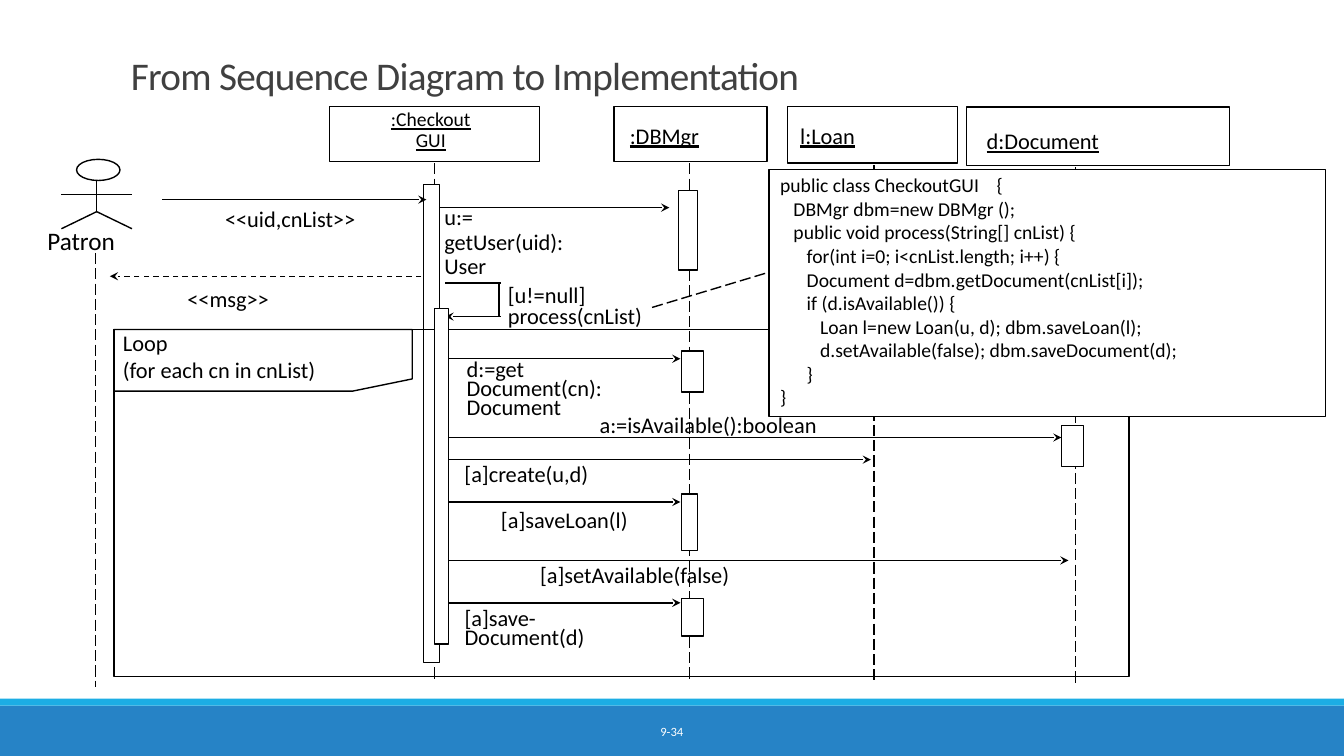
import pptx
import pptx.util
import pptx.dml.color
import pptx.enum.dml
import pptx.enum.shapes
import pptx.enum.text
import lxml.etree

Pt = pptx.util.Pt
RGBColor = pptx.dml.color.RGBColor
Shape = pptx.enum.shapes.MSO_SHAPE
Dash = pptx.enum.dml.MSO_LINE
Align = pptx.enum.text.PP_ALIGN
Anchor = pptx.enum.text.MSO_ANCHOR
AutoSize = pptx.enum.text.MSO_AUTO_SIZE

BLACK = RGBColor(0x00, 0x00, 0x00)
WHITE = RGBColor(0xFF, 0xFF, 0xFF)
GREY = RGBColor(0x40, 0x40, 0x40)
BLUE = RGBColor(0x26, 0x83, 0xC6)
CYAN = RGBColor(0x1C, 0xAD, 0xE4)

# Content: all places are left, top, width, height in points
TITLE = "From Sequence Diagram to Implementation"
PAGE_NUMBER = "9-34"

HEAD_TOP, LIFELINE_GAP, LIFELINE_LENGTH = 76.3, 1.4, 370.8
PARTICIPANTS = [  # head left, width, height, lifeline x, name, name box, format
    (235.4, 149.8, 38.9, 310.3, [":Checkout", "GUI"], (271.4, 74.9, 72.7, 38.2),
     {"size": 14, "align": Align.CENTER, "spacing": 0.9}),
    (438.5, 109.4, 38.9, 492.5, [":DBMgr"], (442.8, 83.5, 64.8, 26.6), {}),
    (562.3, 121.7, 40.3, 624.2, ["l:Loan"], (564.5, 83.5, 54, 26.6), {}),
    (690.5, 187.9, 41.8, 768.2, ["d:Document"], (697.7, 87.1, 95.8, 26.6), {}),
]
PATRON_HEAD = (54.7, 113.8, 31, 15.1)
PATRON_LINES = [  # body, legs, arms
    (69.1, 128.9, 69.1, 151.2), (69.1, 151.2, 94.3, 163.4),
    (69.1, 151.2, 43.9, 163.4), (43.9, 139, 94.3, 139),
]
PATRON_LIFELINE = (68.4, 180.7, 68.4, 491)

ACTIVATIONS = [
    (302.4, 131.8, 11.5, 341.3), (484.6, 136.1, 13.7, 56.9),
    (486.7, 250.6, 15.8, 29.5), (486.7, 352.8, 11.5, 40.3),
    (486.7, 427.7, 15.8, 26.6), (758.2, 303.8, 15.8, 29.5),
]
PROCESS_ACTIVATION = (310.3, 220.3, 10.1, 239.8)
LOOP_FRAME = (81.4, 235.4, 725, 247.7)
LOOP_TAB = [(252, 279.4), (81.4, 279.4), (81.4, 235.4),
            (294.5, 235.4), (294.5, 270.7), (252, 279.4)]

PROCESS_X = 318.2
MESSAGES = [  # from x, to x, y
    (115.9, 304.6, 142.6), (314.6, 478.1, 148.3), (357.8, PROCESS_X, 226.1),
    (PROCESS_X, 486, 256.3), (PROCESS_X, 758.2, 312.5),
    (PROCESS_X, 622.1, 328.3), (PROCESS_X, 486, 358.6),
    (PROCESS_X, 763.2, 400.3), (PROCESS_X, 486, 430.6),
]
REPLY = (301, 197.3, 78.5, 197.3)
SELF_CALL = [(PROCESS_X, 202.3, 357.8, 202.3), (356.4, 202.3, 356.4, 226.1)]

CENTERED = {"wrap": True, "align": Align.CENTER}
LABELS = [
    (["<<uid,cnList>>"], (105.8, 143.3, 203, 26.6), CENTERED),
    (["<<msg>>"], (126.7, 200.2, 73.4, 26.6), {}),
    (["u:=", "getUser(uid):", "User"], (310.3, 144, 197.3, 59.8),
     {"wrap": True, "spacing": 0.9}),
    (["[u!=null]", "process(cnList)"], (355.7, 197.3, 157.7, 41.8),
     {"wrap": True, "spacing": (1, 0.75)}),
    (["Loop", "(for each cn in cnList)"], (87.8, 235.4, 224.6, 38.2),
     {"wrap": True, "inset": (0, 0)}),
    (["d:=get", "Document(cn):", "Document"], (326.2, 255.6, 113, 49),
     {"spacing": 0.7}),
    (["a:=isAvailable():boolean"], (421.2, 290.2, 172.1, 26.6), {}),
    (["[a]create(u,d)"], (324.7, 325.4, 105.1, 26.6), {}),
    (["[a]saveLoan(l)"], (300.2, 362.9, 205.9, 21.6), CENTERED | {"spacing": 0.7}),
    (["[a]setAvailable(false)"], (378.7, 397.4, 152.6, 26.6), {}),
    (["[a]save-", "Document(d)"], (324.7, 433.4, 101.5, 35.3), {"spacing": 0.7}),
    (["Patron"], (33.8, 161.3, 49.7, 21.6), {"size": 18, "inset": (0, 0)}),
]

CODE_FRAME = (549.4, 121, 397.4, 176.4)
CODE_BOX = (557.3, 123.8, 384.5, 169.9)
CODE_LINK = (465.8, 219.6, 549.4, 194.4)
CODE = [
    "public class CheckoutGUI    {",
    "   DBMgr dbm=new DBMgr ();",
    "   public void process(String[] cnList) {",
    "      for(int i=0; i<cnList.length; i++) {",
    "      Document d=dbm.getDocument(cnList[i]);",
    "      if (d.isAvailable()) {",
    "         Loan l=new Loan(u, d); dbm.saveLoan(l);",
    "         d.setAvailable(false); dbm.saveDocument(d);",
    "      }",
    "}",
]

deck = pptx.Presentation()
deck.slide_width, deck.slide_height = Pt(960), Pt(540)
page = deck.slides.add_slide(deck.slide_layouts[6])


def style_outline(line, dash=None):
    line.color.rgb = BLACK
    line.width = Pt(1)
    if dash:
        line.dash_style = dash


def add_box(place, fill=None, outlined=True, kind=Shape.RECTANGLE):
    box = page.shapes.add_shape(kind, *map(Pt, place))
    box.shadow.inherit = False
    if fill is None:
        box.fill.background()
    else:
        box.fill.solid()
        box.fill.fore_color.rgb = fill
    if outlined:
        style_outline(box.line)
    else:
        box.line.fill.background()


def add_line(ends, dash=None, arrow=False):
    line = page.shapes.add_connector(
        pptx.enum.shapes.MSO_CONNECTOR.STRAIGHT, *map(Pt, ends))
    style_outline(line.line, dash)
    namespace = pptx.oxml.ns.qn
    if arrow:
        lxml.etree.SubElement(line.line._get_or_add_ln(),
                              namespace("a:tailEnd"), type="stealth")
    lxml.etree.SubElement(line._element.spPr, namespace("a:effectLst"))


def add_text(lines, place, size=16, color=BLACK, wrap=False, align=Align.LEFT,
             spacing=1, inset=(7.2, 3.6), underline=None, anchor=Anchor.TOP,
             grow=True, tracking=None):
    box = page.shapes.add_textbox(*map(Pt, place))
    across, down = map(Pt, inset)
    frame_format = {
        "word_wrap": wrap, "vertical_anchor": anchor,
        "auto_size": AutoSize.SHAPE_TO_FIT_TEXT if grow else AutoSize.NONE,
        "margin_left": across, "margin_right": across,
        "margin_top": down, "margin_bottom": down,
    }
    for name, value in frame_format.items():
        setattr(box.text_frame, name, value)
    spacings = spacing if isinstance(spacing, tuple) else (spacing,) * len(lines)
    font_format = {"name": "Calibri", "size": Pt(size), "underline": underline}
    for index, (text, line_spacing) in enumerate(zip(lines, spacings)):
        para = box.text_frame.paragraphs[0] if index == 0 else box.text_frame.add_paragraph()
        para.alignment = align
        para.line_spacing = line_spacing
        span = para.add_run()
        span.text = text
        for name, value in font_format.items():
            setattr(span.font, name, value)
        span.font.color.rgb = color
        if tracking:
            span._r.get_or_add_rPr().set("spc", str(tracking))


# Footer and title
add_box((0, 504, 960, 36), BLUE, outlined=False)
add_box((0, 499, 960, 5), CYAN, outlined=False)
add_text([PAGE_NUMBER], (290.2, 508.3, 379.4, 28.8), size=9, color=WHITE, wrap=True,
         align=Align.CENTER, anchor=Anchor.MIDDLE, grow=False)
add_text([TITLE], (86.4, 22.3, 792, 51.8), size=28, color=GREY, wrap=True,
         spacing=0.85, anchor=Anchor.BOTTOM, grow=False, tracking=-50)

# Patron
add_box(PATRON_HEAD, kind=Shape.OVAL)
for ends in PATRON_LINES:
    add_line(ends)
add_line(PATRON_LIFELINE, Dash.LONG_DASH)

# Participants with their lifelines
for left, width, height, x, name, name_box, name_format in PARTICIPANTS:
    add_box((left, HEAD_TOP, width, height))
    add_text(name, name_box, underline=True, **name_format)
    top = HEAD_TOP + height + LIFELINE_GAP
    add_line((x, top, x, top + LIFELINE_LENGTH), Dash.LONG_DASH)

# Activations and loop frame
for place in ACTIVATIONS:
    add_box(place, WHITE)
add_box(LOOP_FRAME)
corners = [(Pt(x), Pt(y)) for x, y in LOOP_TAB]
builder = page.shapes.build_freeform(*corners[0])
builder.add_line_segments(corners[1:], close=False)
loop_tab = builder.convert_to_shape()
loop_tab.shadow.inherit = False
loop_tab.fill.background()
style_outline(loop_tab.line)

# Messages and labels
for start, end, y in MESSAGES:
    add_line((start, y, end, y), arrow=True)
add_line(REPLY, Dash.DASH, arrow=True)
for ends in SELF_CALL:
    add_line(ends)
for lines, place, label_format in LABELS:
    add_text(lines, place, **label_format)

# Code note and the process activation in front
add_box(CODE_FRAME, WHITE)
add_text(CODE, CODE_BOX, size=14, wrap=True, inset=(0, 0))
add_line(CODE_LINK, Dash.LONG_DASH)
add_box(PROCESS_ACTIVATION, WHITE)

deck.save("out.pptx")
